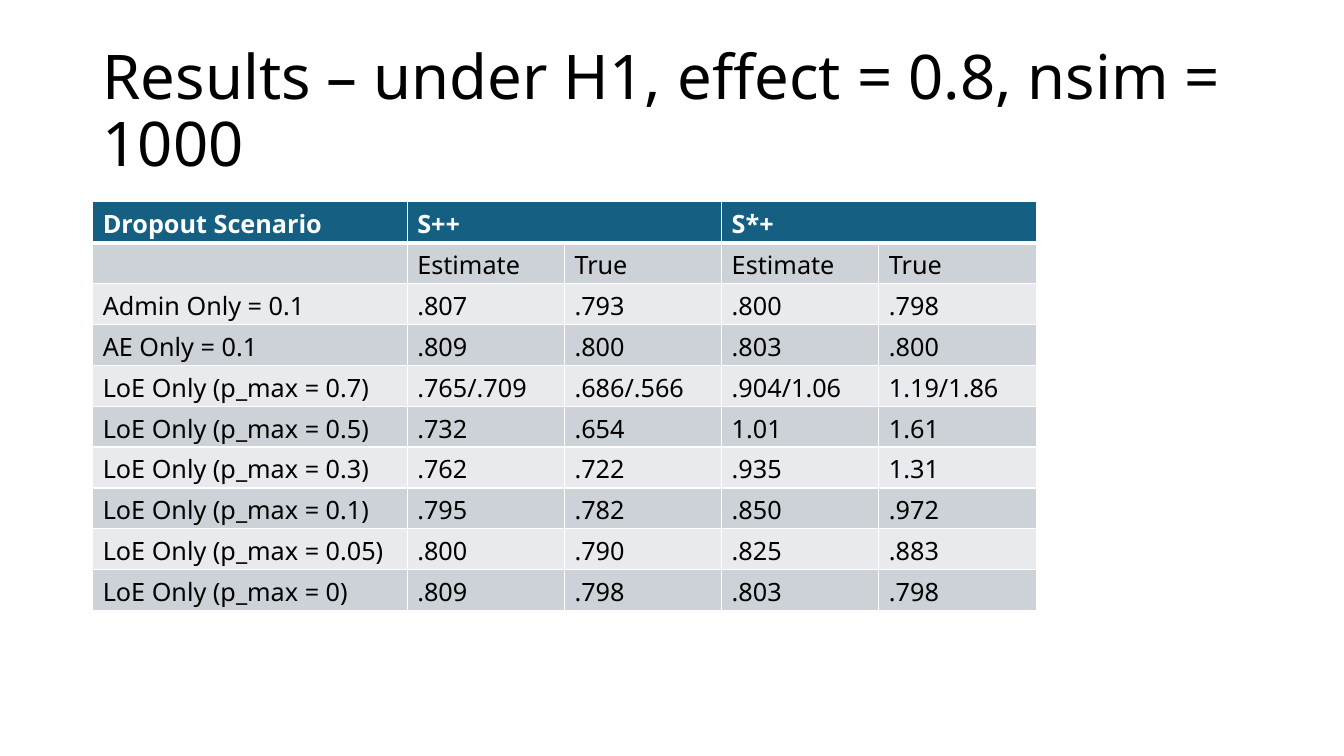
import dataclasses

import lxml.etree
import pptx
import pptx.dml.color
import pptx.enum.text
import pptx.oxml.ns
import pptx.util


@dataclasses.dataclass(frozen=True)
class Theme:
    font: str = "Noto Sans"
    title_size: int = 44
    table_size: int = 18
    text: str = "000000"
    header_text: str = "FFFFFF"
    header_fill: str = "156082"
    bands: tuple = ("E8EAED", "CCD2D8")
    border: str = "FFFFFF"
    border_width: float = 1
    header_rule_width: float = 3


THEME = Theme()
SLIDE_WIDTH, SLIDE_HEIGHT = pptx.util.Inches(13.33), pptx.util.Inches(7.5)

# Left, top, width and height as shares of the slide
TITLE_BOX = (0.069, 0.053, 0.863, 0.193)
TABLE_BOX = (0.069, 0.267, 0.702, 0.541)

TITLE = "Results – under H1, effect = 0.8, nsim = 1000"
COLUMN_SHARES = (2, 1, 1, 1, 1)
HEADER_ROWS = 1
HEADER_SPANS = ((1, 2), (3, 4))
ROWS = (
    ("Dropout Scenario", "S++", "", "S*+", ""),
    ("", "Estimate", "True", "Estimate", "True"),
    ("Admin Only = 0.1", ".807", ".793", ".800", ".798"),
    ("AE Only = 0.1", ".809", ".800", ".803", ".800"),
    ("LoE Only (p_max = 0.7)", ".765/.709", ".686/.566", ".904/1.06", "1.19/1.86"),
    ("LoE Only (p_max = 0.5)", ".732", ".654", "1.01", "1.61"),
    ("LoE Only (p_max = 0.3)", ".762", ".722", ".935", "1.31"),
    ("LoE Only (p_max = 0.1)", ".795", ".782", ".850", ".972"),
    ("LoE Only (p_max = 0.05)", ".800", ".790", ".825", ".883"),
    ("LoE Only (p_max = 0)", ".809", ".798", ".803", ".798"),
)


def scale_box(shares):
    """Turn shares of the slide into left, top, width and height."""
    lengths = (SLIDE_WIDTH, SLIDE_HEIGHT) * 2
    return [pptx.util.Emu(round(share * length)) for share, length in zip(shares, lengths)]


def color(value):
    return pptx.dml.color.RGBColor.from_string(value)


def add_run(paragraph, text, size, text_color, bold=False):
    run = paragraph.add_run()
    run.text = text
    run.font.name = THEME.font
    run.font.size = pptx.util.Pt(size)
    run.font.bold = bold
    run.font.color.rgb = color(text_color)


def set_borders(cell, top_width, bottom_width):
    """Draw the four edges; they must precede the fill in the cell properties."""
    properties = cell._tc.get_or_add_tcPr()
    qualified = pptx.oxml.ns.qn
    widths = {"lnL": THEME.border_width, "lnR": THEME.border_width,
              "lnT": top_width, "lnB": bottom_width}
    for position, (edge, width) in enumerate(widths.items()):
        line = lxml.etree.Element(qualified(f"a:{edge}"), w=str(pptx.util.Pt(width)))
        fill = lxml.etree.SubElement(line, qualified("a:solidFill"))
        lxml.etree.SubElement(fill, qualified("a:srgbClr"), val=THEME.border)
        properties.insert(position, line)


def add_title(slide, box):
    shape = slide.shapes.add_textbox(*box)
    frame = shape.text_frame
    frame.word_wrap = True
    frame.vertical_anchor = pptx.enum.text.MSO_ANCHOR.MIDDLE
    paragraph = frame.paragraphs[0]
    paragraph.line_spacing = 0.9
    add_run(paragraph, TITLE, THEME.title_size, THEME.text)


def style_cell(cell, text, row_index):
    is_header = row_index < HEADER_ROWS
    cell.fill.solid()
    cell.fill.fore_color.rgb = color(
        THEME.header_fill if is_header else THEME.bands[row_index % 2])
    set_borders(
        cell,
        THEME.header_rule_width if row_index == HEADER_ROWS else THEME.border_width,
        THEME.header_rule_width if is_header else THEME.border_width)
    if text:
        text_color = THEME.header_text if is_header else THEME.text
        add_run(cell.text_frame.paragraphs[0], text, THEME.table_size, text_color, is_header)


def add_results_table(slide, box):
    table = slide.shapes.add_table(len(ROWS), len(COLUMN_SHARES), *box).table
    unit = box[2] / sum(COLUMN_SHARES)
    for column, share in zip(table.columns, COLUMN_SHARES):
        column.width = pptx.util.Emu(round(share * unit))
    for row_index, values in enumerate(ROWS):
        for column_index, text in enumerate(values):
            style_cell(table.cell(row_index, column_index), text, row_index)
    for first, last in HEADER_SPANS:
        table.cell(0, first).merge(table.cell(0, last))


def main():
    presentation = pptx.Presentation()
    presentation.slide_width, presentation.slide_height = SLIDE_WIDTH, SLIDE_HEIGHT
    slide = presentation.slides.add_slide(presentation.slide_layouts[6])
    add_title(slide, scale_box(TITLE_BOX))
    add_results_table(slide, scale_box(TABLE_BOX))
    presentation.save("out.pptx")


if __name__ == "__main__":
    main()
